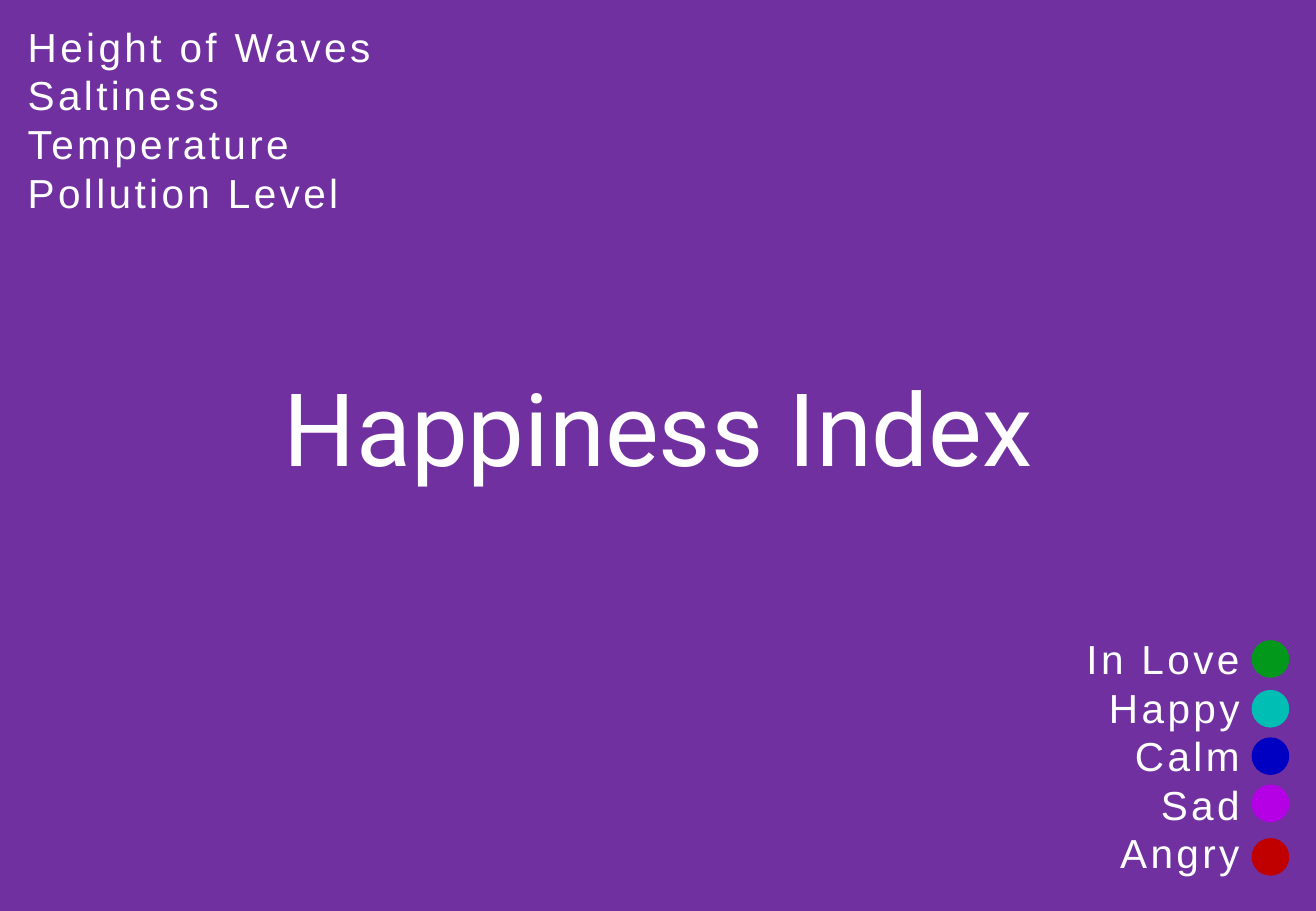
from pptx import Presentation
from pptx.dml.color import RGBColor
from pptx.enum.shapes import MSO_SHAPE as Shape
from pptx.enum.text import MSO_AUTO_SIZE as Fit, PP_ALIGN as Align
from pptx.util import Inches, Pt

PURPLE = RGBColor(0x70, 0x30, 0xA0)
WHITE = RGBColor(0xFF, 0xFF, 0xFF)
GREEN = RGBColor(0x02, 0x98, 0x1B)
TEAL = RGBColor(0x00, 0xBE, 0xB3)
BLUE = RGBColor(0x00, 0x00, 0xC3)
VIOLET = RGBColor(0xB5, 0x00, 0xE6)
RED = RGBColor(0xC0, 0x00, 0x00)


class Board:
    """Holds the text style and the current slide."""

    def __init__(self, slide, color):
        self.slide = slide
        self.color = color

    def fill(self, color):
        back = self.slide.background.fill
        back.solid()
        back.fore_color.rgb = color

    def text(self, box, lines, align=Align.LEFT, font="Arial", size=24, space=0):
        frame = self.slide.shapes.add_textbox(*map(Inches, box)).text_frame
        frame.word_wrap = True
        frame.auto_size = Fit.SHAPE_TO_FIT_TEXT
        for i, line in enumerate(lines):
            para = frame.add_paragraph() if i else frame.paragraphs[0]
            para.alignment = align
            run = para.add_run()
            run.text = line
            run.font.name = font
            run.font.size = Pt(size)
            run.font.color.rgb = self.color
            if space:  # letter spacing, in hundredths of a point
                run.font._element.set("spc", str(space * 100))

    def dot(self, left, top, size, color):
        box = map(Inches, (left, top, size, size))
        dot = self.slide.shapes.add_shape(Shape.OVAL, *box)
        dot.shadow.inherit = False
        dot.fill.solid()
        dot.fill.fore_color.rgb = color
        dot.line.fill.background()


deck = Presentation()
deck.slide_width = Inches(10.83)
deck.slide_height = Inches(7.5)
board = Board(deck.slides.add_slide(deck.slide_layouts[6]), WHITE)
board.fill(PURPLE)

# Mood legend: name, dot top, dot colour
moods = [
    ("In Love", 5.27, GREEN),
    ("Happy", 5.68, TEAL),
    ("Calm", 6.07, BLUE),
    ("Sad", 6.46, VIOLET),
    ("Angry", 6.9, RED),
]
board.text((7.23, 5.17, 3.07, 2.12), [mood[0] for mood in moods],
           Align.RIGHT, space=2)
for name, top, color in moods:
    board.dot(10.3, top, 0.31, color)

# Measured factors
factors = ["Height of Waves", "Saltiness", "Temperature", "Pollution Level"]
board.text((0.13, 0.13, 3.33, 1.72), factors, space=2)

# Title
board.text((0.77, 2.96, 9.3, 1.11), ["Happiness Index"],
           Align.CENTER, "Roboto", 60)

deck.save("out.pptx")
